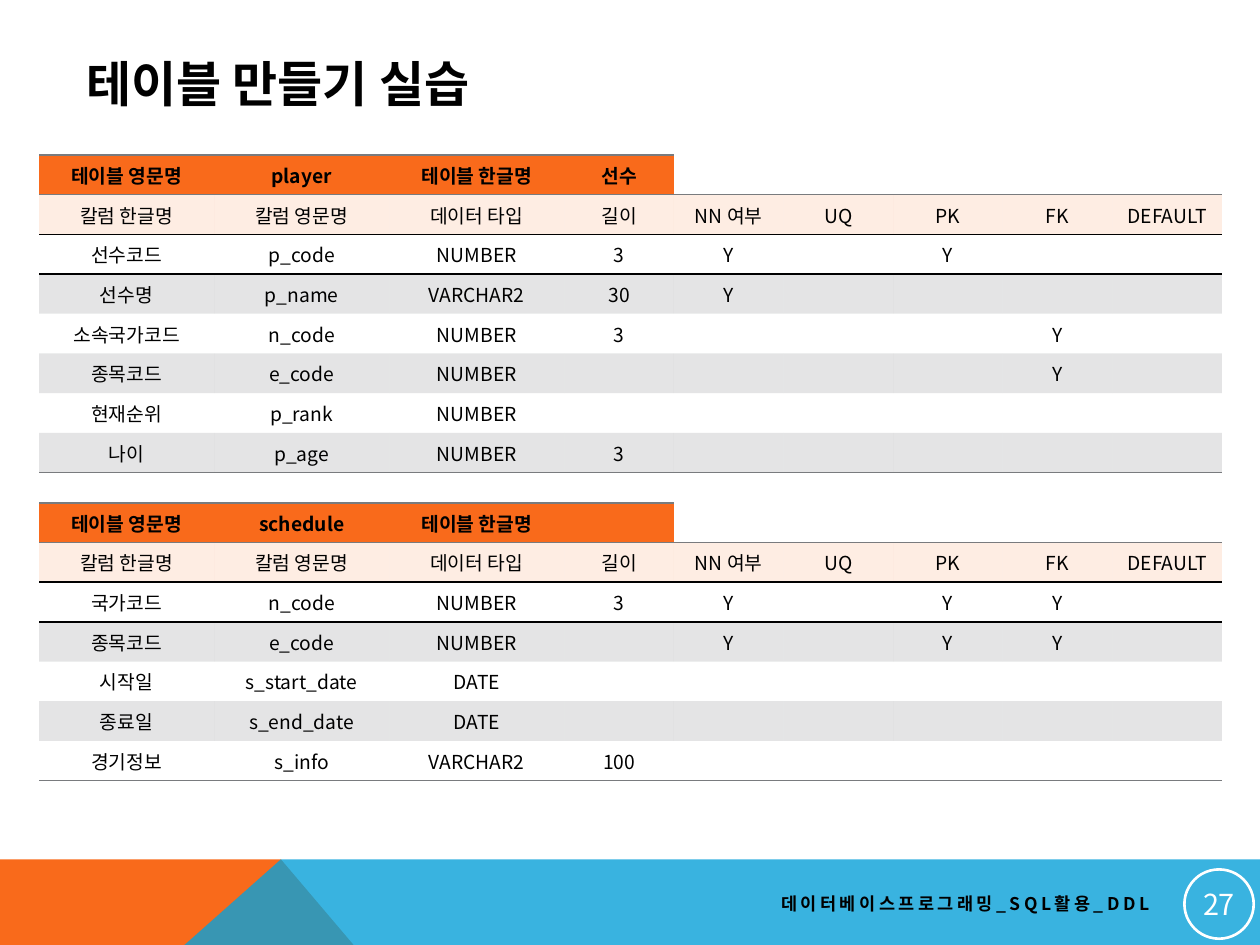
from lxml import etree
from pptx import Presentation
from pptx.dml.color import RGBColor
from pptx.enum.shapes import MSO_SHAPE
from pptx.enum.text import MSO_ANCHOR, PP_ALIGN
from pptx.oxml.ns import qn
from pptx.util import Inches, Pt

OVAL = MSO_SHAPE.OVAL
MIDDLE = MSO_ANCHOR.MIDDLE
LEFT, CENTER, RIGHT = PP_ALIGN.LEFT, PP_ALIGN.CENTER, PP_ALIGN.RIGHT

FONT = "Noto Sans CJK KR"
COLORS = {
    "orange": "F96A1B",
    "peach": "FBA676",
    "blue": "08A1D9",
    "gray": "797B7E",
    "black": "000000",
    "white": "FFFFFF",
}
PLAIN_STYLE = "{2D5ABB26-0587-4C30-8999-92F81FD0307C}"
COL_WIDTHS = [1.39] * 3 + [0.87] * 6
ROW_HEIGHT = 0.315
TITLE_COLS = 4
HEADER = ["칼럼 한글명", "칼럼 영문명", "데이터 타입", "길이",
          "NN 여부", "UQ", "PK", "FK", "DEFAULT"]
PLAYER = [
    ["테이블 영문명", "player", "테이블 한글명", "선수"],
    HEADER,
    ["선수코드", "p_code", "NUMBER", "3", "Y", "", "Y"],
    ["선수명", "p_name", "VARCHAR2", "30", "Y"],
    ["소속국가코드", "n_code", "NUMBER", "3", "", "", "", "Y"],
    ["종목코드", "e_code", "NUMBER", "", "", "", "", "Y"],
    ["현재순위", "p_rank", "NUMBER"],
    ["나이", "p_age", "NUMBER", "3"],
]
SCHEDULE = [
    ["테이블 영문명", "schedule", "테이블 한글명"],
    HEADER,
    ["국가코드", "n_code", "NUMBER", "3", "Y", "", "Y", "Y"],
    ["종목코드", "e_code", "NUMBER", "", "Y", "", "Y", "Y"],
    ["시작일", "s_start_date", "DATE"],
    ["종료일", "s_end_date", "DATE"],
    ["경기정보", "s_info", "VARCHAR2", "100"],
]


class SlideBuilder:
    def __init__(self, slide):
        self.s = slide

    def color(self, name):
        return RGBColor.from_string(COLORS[name])

    def paint(self, fill, element, name, opacity=100):
        fill.solid()
        fill.fore_color.rgb = self.color(name)
        if opacity < 100:
            clr = element.find(".//" + qn("a:srgbClr"))
            etree.SubElement(clr, qn("a:alpha"), val=str(opacity * 1000))

    def set_text(self, tf, text, size, color="black", bold=False, align=LEFT, spacing=0):
        tf.text = text
        p = tf.paragraphs[0]
        p.alignment = align
        if not text:
            etree.SubElement(p._p, qn("a:endParaRPr"), sz=str(size * 100))
        for r in p.runs:
            r.font.size = Pt(size)
            r.font.bold = bold
            r.font.name = FONT
            r.font.color.rgb = self.color(color)
            rPr = r._r.get_or_add_rPr()
            etree.SubElement(rPr, qn("a:ea"), typeface=FONT)
            if spacing:
                rPr.set("spc", str(spacing * 100))

    def text(self, box, text, size, **style):
        tf = self.s.shapes.add_textbox(*map(Inches, box)).text_frame
        tf.word_wrap = True
        tf.vertical_anchor = MIDDLE
        self.set_text(tf, text, size, **style)

    def polygon(self, points, color, opacity=100):
        points = [(Inches(x), Inches(y)) for x, y in points]
        fb = self.s.shapes.build_freeform(*points[0])
        fb.add_line_segments(points[1:], close=True)
        sp = fb.convert_to_shape()
        sp.shadow.inherit = False
        self.paint(sp.fill, sp._element.spPr, color, opacity)
        sp.line.fill.background()

    def badge(self, box, text):
        sp = self.s.shapes.add_shape(OVAL, *map(Inches, box))
        sp.shadow.inherit = False
        sp.fill.background()
        sp.line.color.rgb = self.color("white")
        sp.line.width = Pt(1.5)
        tf = sp.text_frame
        tf.vertical_anchor = MIDDLE
        tf.margin_left = tf.margin_right = Inches(0.01)
        tf.margin_top = tf.margin_bottom = Inches(0.01)
        self.set_text(tf, text, 16.5, color="white", align=CENTER)

    def borders(self, cell, **sides):
        tcPr = cell._tc.get_or_add_tcPr()
        for i, (side, name) in enumerate(sides.items()):
            ln = etree.Element(qn("a:ln" + side), w=str(Pt(1)))
            fill = etree.SubElement(ln, qn("a:solidFill"))
            etree.SubElement(fill, qn("a:srgbClr"), val=COLORS[name])
            tcPr.insert(i, ln)

    def cell(self, cell, text, bold, fill):
        cell.vertical_anchor = MIDDLE
        cell.margin_left = cell.margin_right = Inches(0.07)
        cell.margin_top = cell.margin_bottom = Inches(0.02)
        self.set_text(cell.text_frame, text, 11, bold=bold, align=CENTER)
        if fill:
            self.paint(cell.fill, cell._tc.get_or_add_tcPr(), *fill)
        else:
            cell.fill.background()

    def table(self, left, top, rows):
        last = len(rows) - 1
        frame = self.s.shapes.add_table(
            len(rows), len(COL_WIDTHS), Inches(left), Inches(top),
            Inches(sum(COL_WIDTHS)), Inches(ROW_HEIGHT * len(rows)))
        table = frame.table
        table.first_row = table.horz_banding = False
        table._tbl.tblPr.find(qn("a:tableStyleId")).text = PLAIN_STYLE
        for column, width in zip(table.columns, COL_WIDTHS):
            column.width = Inches(width)
        bottoms = {0: "gray", 1: "black", 2: "black", last: "gray"}
        for i, values in enumerate(rows):
            table.rows[i].height = Inches(ROW_HEIGHT)
            for j in range(len(COL_WIDTHS)):
                fill = None
                if i == 0 and j < TITLE_COLS:
                    fill = ("orange",)
                elif i == 1:
                    fill = ("peach", 20)
                elif i > 1 and i % 2:
                    fill = ("gray", 20)
                cell = table.cell(i, j)
                self.cell(cell, values[j] if j < len(values) else "", i == 0, fill)
                sides = {}
                if i == 0 and j < TITLE_COLS:
                    sides["T"] = "gray"
                elif i == 2:
                    sides["T"] = "black"
                if i in bottoms:
                    sides["B"] = bottoms[i]
                self.borders(cell, **sides)


def main():
    prs = Presentation()
    prs.slide_width, prs.slide_height = Inches(10), Inches(7.5)
    b = SlideBuilder(prs.slides.add_slide(prs.slide_layouts[6]))
    b.polygon([(0, 8.8), (0, 6.82), (2.23, 6.82), (3.91, 8.8)], "orange")
    b.polygon([(0, 8.8), (2.23, 6.82), (10, 6.82), (10, 8.8)], "blue", 80)
    b.text((0.59, 0.36, 8.22, 0.6), "테이블 만들기 실습", 28, bold=True)
    b.badge((9.4, 6.9, 0.55, 0.55), "27")
    b.text((3.58, 7.02, 5.64, 0.3), "데이터베이스프로그래밍_SQL활용_DDL", 10,
           bold=True, align=RIGHT, spacing=2)
    b.table(0.31, 1.23, PLAYER)
    b.table(0.31, 3.99, SCHEDULE)
    prs.save("out.pptx")


if __name__ == "__main__":
    main()
